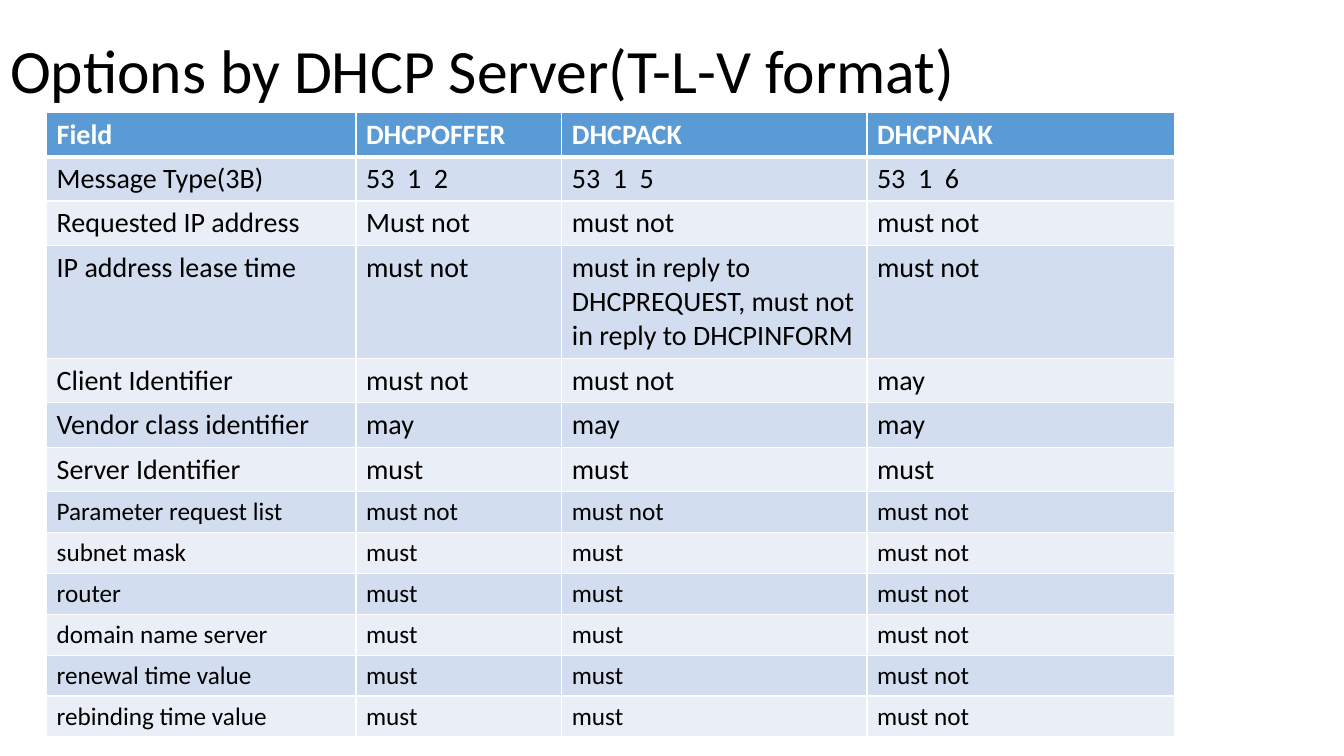
import pptx
import pptx.util
import pptx.dml.color
import pptx.enum.text
import pptx.oxml
import pptx.oxml.ns

Pt = pptx.util.Pt
FONT = "Calibri"
WHITE, BLACK, HEADER_BLUE = "FFFFFF", "000000", "5B9BD5"
BANDS = ("D2DEEF", "EAEFF7")

# Content
TITLE = "Options by DHCP Server(T-L-V format)"
HEADER = ("Field", "DHCPOFFER", "DHCPACK", "DHCPNAK")
LARGE_ROWS = [
    ("Message Type(3B)", "53  1  2", "53  1  5", "53  1  6"),
    ("Requested IP address", "Must not", "must not", "must not"),
    ("IP address lease time", "must not",
     "must in reply to DHCPREQUEST, must not in reply to DHCPINFORM", "must not"),
    ("Client Identifier", "must not", "must not", "may"),
    ("Vendor class identifier", "may", "may", "may"),
    ("Server Identifier", "must", "must", "must"),
]
SMALL_ROWS = [
    ("Parameter request list", "must not", "must not", "must not"),
    ("subnet mask", "must", "must", "must not"),
    ("router", "must", "must", "must not"),
    ("domain name server", "must", "must", "must not"),
    ("renewal time value", "must", "must", "must not"),
    ("rebinding time value", "must", "must", "must not"),
]
ROWS = [HEADER] + LARGE_ROWS + SMALL_ROWS

# Layout
COLUMN_WIDTHS = (221, 147, 218, 220)
ROW_HEIGHT = 29.2
TABLE_LEFT, TABLE_TOP = 33.3, 80.2


def color(hex_value):
    return pptx.dml.color.RGBColor.from_string(hex_value)


def format_text(frame, size, hex_value, bold=False):
    for para in frame.paragraphs:
        for run in para.runs:
            run.font.name = FONT
            run.font.size = Pt(size)
            run.font.bold = bold
            run.font.color.rgb = color(hex_value)


def add_border(cell, side, width):
    cell._tc.get_or_add_tcPr().append(pptx.oxml.parse_xml(
        f'<a:ln{side} {pptx.oxml.ns.nsdecls("a")} w="{Pt(width)}">'
        f'<a:solidFill><a:srgbClr val="{WHITE}"/></a:solidFill></a:ln{side}>'))


deck = pptx.Presentation()
deck.slide_width, deck.slide_height = Pt(960), Pt(540)
page = deck.slides.add_slide(deck.slide_layouts[5])

# Title
title = page.shapes.title
title.left, title.top, title.width, title.height = Pt(0), Pt(0), Pt(828), Pt(104.4)
frame = title.text_frame
frame.text = TITLE
frame.word_wrap = True
frame.auto_size = pptx.enum.text.MSO_AUTO_SIZE.NONE
frame.vertical_anchor = pptx.enum.text.MSO_ANCHOR.MIDDLE
frame.paragraphs[0].alignment = pptx.enum.text.PP_ALIGN.LEFT
frame.paragraphs[0].line_spacing = 0.9
format_text(frame, 44, BLACK)

# Options table
table = page.shapes.add_table(
    len(ROWS), len(HEADER), Pt(TABLE_LEFT), Pt(TABLE_TOP),
    Pt(sum(COLUMN_WIDTHS)), Pt(ROW_HEIGHT * len(ROWS))).table
for column, width in zip(table.columns, COLUMN_WIDTHS):
    column.width = Pt(width)

for row_index, values in enumerate(ROWS):
    table.rows[row_index].height = Pt(ROW_HEIGHT)
    is_header = row_index == 0
    size = 20 if row_index <= len(LARGE_ROWS) else 18
    fill = HEADER_BLUE if is_header else BANDS[(row_index - 1) % 2]
    # The rule under the header is thicker than the others
    borders = {"L": 1, "R": 1, "T": 3 if row_index == 1 else 1, "B": 3 if is_header else 1}
    for column_index, value in enumerate(values):
        cell = table.cell(row_index, column_index)
        cell.text_frame.text = value
        format_text(cell.text_frame, size, WHITE if is_header else BLACK, is_header)
        for side, width in borders.items():
            add_border(cell, side, width)
        cell.fill.solid()
        cell.fill.fore_color.rgb = color(fill)

deck.save("out.pptx")
